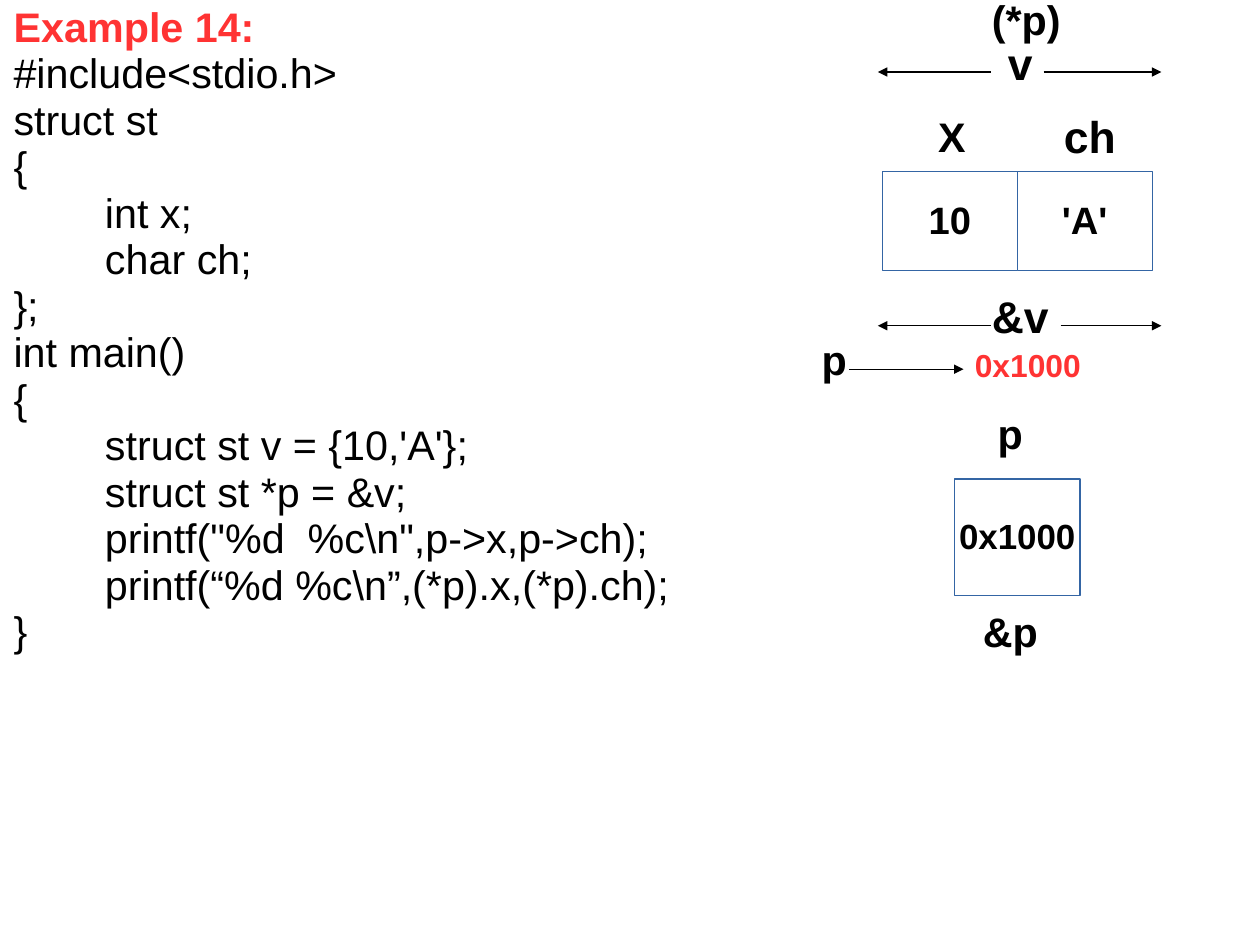
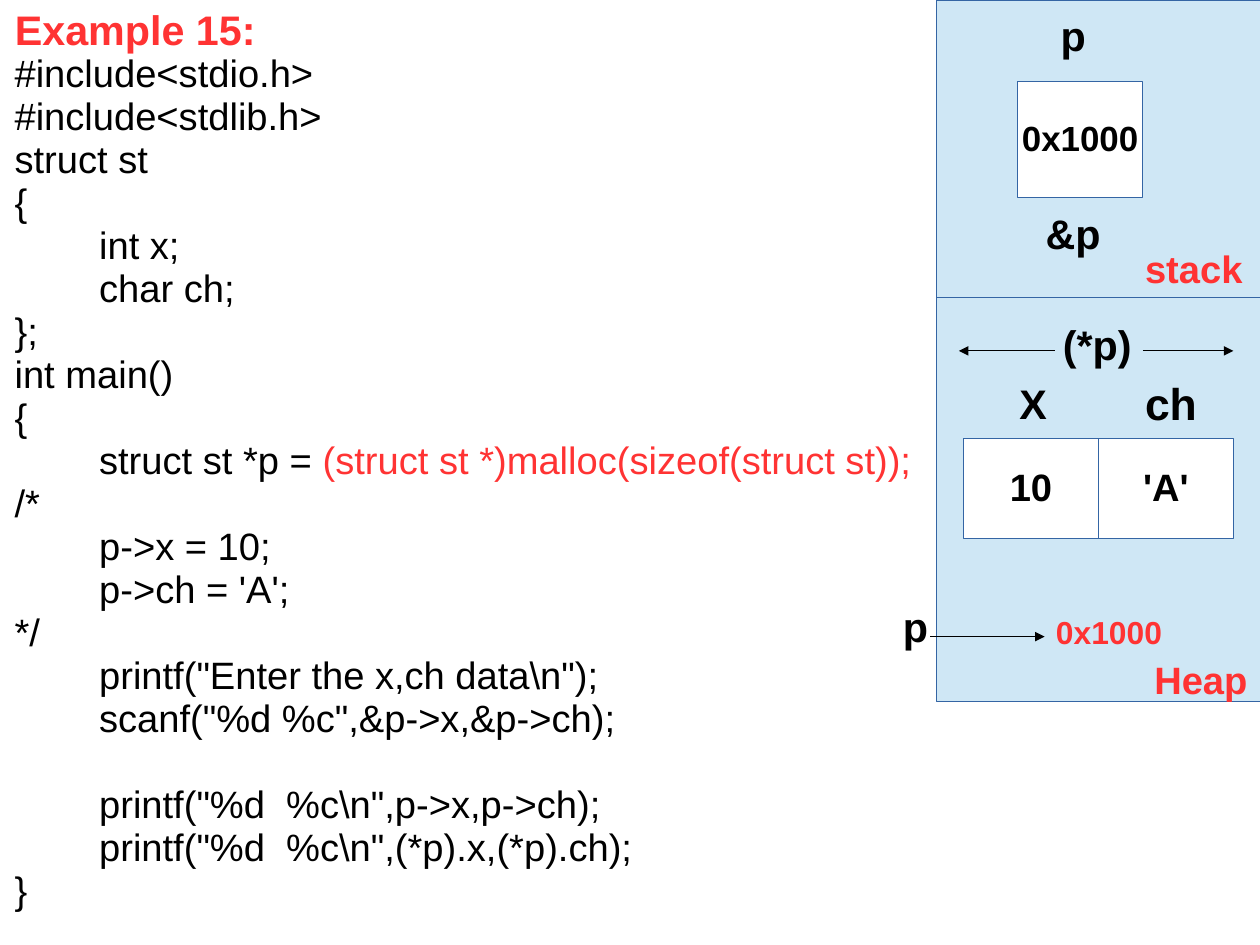
from lxml.etree import SubElement
from pptx import Presentation
from pptx.dml.color import RGBColor
from pptx.enum.shapes import MSO_CONNECTOR, MSO_SHAPE
from pptx.enum.text import MSO_ANCHOR, MSO_AUTO_SIZE, PP_ALIGN
from pptx.oxml.ns import qn
from pptx.util import Cm, Inches, Pt

FONT = "Arial"
BLACK = RGBColor(0x00, 0x00, 0x00)
WHITE = RGBColor(0xFF, 0xFF, 0xFF)
RED = RGBColor(0xFF, 0x33, 0x33)
OUTLINE = RGBColor(0x34, 0x65, 0xA4)
PALE_BLUE = RGBColor(0xCF, 0xE7, 0xF5)

SLIDE_W, SLIDE_H = Cm(28), Cm(21)
LINE_SPACING = 0.94
LINE_WIDTH = Pt(0.75)
TITLE_SIZE = 26
CODE_OFFSET = 0.4
CELL_W, CELL_H = 1.18, 0.87
POINTER_W, POINTER_H = 1.1, 1.02
PANEL_LEFT, PANEL_W, STACK_H, HEAP_H = 8.19, 2.84, 2.6, 3.54

EXAMPLE_14 = """#include<stdio.h>
struct st
{
        int x;
        char ch;
};
int main()
{
        struct st v = {10,'A'};
        struct st *p = &v;
        printf("%d  %c\\n",p->x,p->ch);
        printf(“%d %c\\n”,(*p).x,(*p).ch);
}"""

MALLOC_CALL = " (struct st *)malloc(sizeof(struct st));"
EXAMPLE_15 = f"""#include<stdio.h>
#include<stdlib.h>
struct st
{{
        int x;
        char ch;
}};
int main()
{{
        struct st *p ={MALLOC_CALL}
/*
        p->x = 10;
        p->ch = 'A';
*/
        printf("Enter the x,ch data\\n");
        scanf("%d %c",&p->x,&p->ch);

        printf("%d  %c\\n",p->x,p->ch);
        printf("%d  %c\\n",(*p).x,(*p).ch);
}}"""


def format_font(font, size, color=BLACK, bold=True):
    font.name = FONT
    font.size = Pt(size)
    font.bold = bold
    font.color.rgb = color


def add_titled_slide(prs, title, left, top):
    s = prs.slides.add_slide(prs.slide_layouts[5])
    sp = s.shapes.title
    sp.left, sp.top, sp.width, sp.height = map(Inches, (left, top, 6.8, 0.53))
    tf = sp.text_frame
    tf.text = title
    tf.auto_size = MSO_AUTO_SIZE.NONE
    tf.vertical_anchor = MSO_ANCHOR.TOP
    p = tf.paragraphs[0]
    p.alignment = PP_ALIGN.LEFT
    p.line_spacing = LINE_SPACING
    format_font(p.runs[0].font, TITLE_SIZE, RED)
    return s


def add_code(s, code, left, top, width, height, size, highlight=None):
    """Add a listing; an empty line becomes space before the next one."""
    tf = s.shapes.add_textbox(*map(Inches, (left, top, width, height))).text_frame
    tf.word_wrap = True
    p, gap = tf.paragraphs[0], False
    for number, line in enumerate(code.split("\n")):
        if not line:
            gap = True
            continue
        if number:
            p = tf.add_paragraph()
        p.line_spacing = LINE_SPACING
        if gap:
            p.space_before = Pt(size * 1.13)
            gap = False
        plain, mark, rest = line.partition(highlight) if highlight else (line, "", "")
        for text, color in ((plain, BLACK), (mark, RED), (rest, BLACK)):
            if text:
                r = p.add_run()
                r.text = text
                format_font(r.font, size, color, bold=False)


def add_label(s, text, left, top, width, size=26, color=BLACK):
    sp = s.shapes.add_textbox(*map(Inches, (left, top, width, 0.53)))
    tf = sp.text_frame
    tf.word_wrap = True
    p = tf.paragraphs[0]
    p.text = text
    p.line_spacing = LINE_SPACING
    format_font(p.runs[0].font, size, color)


def add_box(s, left, top, width, height, fill=WHITE, text="", size=24):
    sp = s.shapes.add_shape(MSO_SHAPE.RECTANGLE,
                            *map(Inches, (left, top, width, height)))
    sp.shadow.inherit = False
    sp.fill.solid()
    sp.fill.fore_color.rgb = fill
    sp.line.color.rgb = OUTLINE
    sp.line.width = LINE_WIDTH
    if text:
        tf = sp.text_frame
        tf.text = text
        tf.word_wrap = False
        tf.vertical_anchor = MSO_ANCHOR.MIDDLE
        p = tf.paragraphs[0]
        p.alignment = PP_ALIGN.CENTER
        p.line_spacing = LINE_SPACING
        format_font(p.runs[0].font, size)


def add_arrow(s, start, end, y):
    """Add a horizontal arrow pointing at end."""
    arrow = s.shapes.add_connector(MSO_CONNECTOR.STRAIGHT,
                                   *map(Inches, (start, y, end, y)))
    arrow.line.color.rgb = BLACK
    arrow.line.width = LINE_WIDTH
    sp_pr = arrow._element.spPr
    SubElement(sp_pr.find(qn("a:ln")), qn("a:tailEnd"), type="triangle")
    SubElement(sp_pr, qn("a:effectLst"))


def add_span(s, left, gap_left, gap_right, right, y):
    """Add two arrows pointing outwards from the gap around a label."""
    add_arrow(s, gap_left, left, y)
    add_arrow(s, gap_right, right, y)


def add_pointer(s, left, top):
    """Draw the variable p with its value and address."""
    add_label(s, "p", left + 0.28, top - 0.63, 0.45)
    add_box(s, left, top, POINTER_W, POINTER_H, text="0x1000", size=22)
    add_label(s, "&p", left + 0.15, top + 1.1, 0.73)


def add_record(s, left, top):
    """Draw the two struct members and p pointing at their address."""
    for i, value in enumerate(("10", "'A'")):
        add_box(s, left + i * CELL_W, top, CELL_W, CELL_H, text=value)
    add_label(s, "X", left + 0.39, top - 0.54, 0.47)
    add_label(s, "ch", left + 1.49, top - 0.56, 0.7, size=28)
    add_label(s, "0x1000", left + 0.71, top + 1.5, 1.18, size=20, color=RED)
    add_label(s, "p", left - 0.63, top + 1.41, 0.45)
    add_arrow(s, left - 0.29, left + 0.71, top + 1.73)


def build_example_14(prs):
    left, top = 0.02, 0
    s = add_titled_slide(prs, "Example 14:", left, top)
    add_code(s, EXAMPLE_14, left, top + CODE_OFFSET, 6.83, 5.02, size=26)
    add_pointer(s, 8.35, 4.19)
    add_record(s, 7.72, 1.5)
    add_label(s, "(*p)", 8.58, -0.06, 0.85)
    add_label(s, "v", 8.72, 0.3, 0.45, size=28)
    add_span(s, 7.68, 8.67, 9.13, 10.16, 0.63)
    add_label(s, "&v", 8.58, 2.52, 0.75, size=28)
    add_span(s, 7.68, 8.67, 9.28, 10.16, 2.85)


def build_example_15(prs):
    left, top = 0.03, 0.02
    s = add_titled_slide(prs, "Example 15:", left, top)
    add_code(s, EXAMPLE_15, left, top + CODE_OFFSET, 8.16, 7.24, size=24,
             highlight=MALLOC_CALL)
    add_box(s, PANEL_LEFT, 0, PANEL_W, STACK_H, PALE_BLUE)
    add_box(s, PANEL_LEFT, STACK_H, PANEL_W, HEAP_H, PALE_BLUE)
    add_label(s, "stack", 9.92, 2.13, 1.1, size=24, color=RED)
    add_label(s, "Heap", 10, 5.73, 1.02, size=24, color=RED)
    add_pointer(s, 8.9, 0.71)
    add_record(s, 8.43, 3.84)
    add_label(s, "(*p)", 9.2, 2.78, 0.85)
    add_span(s, 8.39, 9.23, 10, 10.79, 3.07)


def main():
    prs = Presentation()
    prs.slide_width, prs.slide_height = SLIDE_W, SLIDE_H
    build_example_14(prs)
    build_example_15(prs)
    prs.save("out.pptx")


if __name__ == "__main__":
    main()
